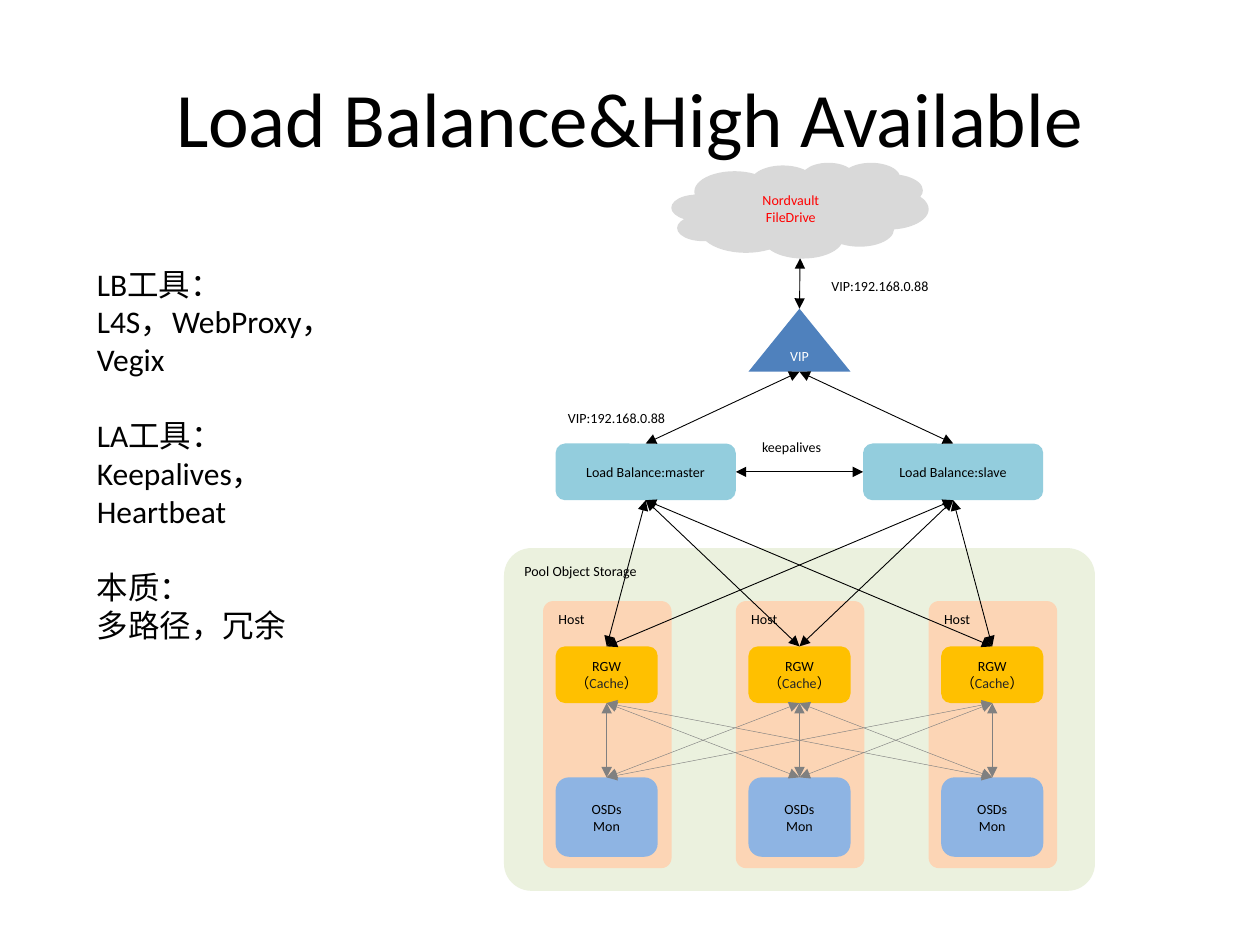
import pptx
import pptx.util
import pptx.dml.color
import pptx.enum.shapes
import pptx.enum.text
import pptx.oxml.ns
from lxml import etree

Inches, Pt = pptx.util.Inches, pptx.util.Pt
SHAPE = pptx.enum.shapes.MSO_SHAPE
ANCHOR = pptx.enum.text.MSO_ANCHOR
ALIGN = pptx.enum.text.PP_ALIGN
qn = pptx.oxml.ns.qn

C = {
    "black": "000000", "white": "FFFFFF", "red": "FF0000",
    "dark": "262626", "gray": "808080", "cloud": "D9D9D9",
    "balancer": "93CDDD", "storage": "EBF1DE", "host": "FCD5B5",
    "gateway": "FFC000", "osd": "8EB4E3", "vip": "4F81BD",
}
TOP, LEFT, BOTTOM, RIGHT = range(4)
HOSTS = 3
HOST_PITCH = 1.53


def rgb(name):
    return pptx.dml.color.RGBColor.from_string(C[name])


def write(tf, lines, size=8, color="black", align=ALIGN.LEFT, anchor=ANCHOR.TOP):
    """Fill a frame; a line is a string or a list of (text, color) runs."""
    tf.vertical_anchor = anchor
    for i, line in enumerate(lines):
        p = tf.paragraphs[0] if i == 0 else tf.add_paragraph()
        p.alignment = align
        for text, run_color in [(line, color)] if isinstance(line, str) else line:
            r = p.add_run()
            r.text = text
            r.font.name = "Calibri"
            r.font.size = Pt(size)
            r.font.color.rgb = rgb(run_color)


def add_text(s, x, y, w, h, lines, wrap=False, **fmt):
    tf = s.shapes.add_textbox(Inches(x), Inches(y), Inches(w), Inches(h)).text_frame
    tf.word_wrap = wrap
    write(tf, lines, **fmt)
    return tf


def add_box(s, x, y, w, h, fill, lines, kind=SHAPE.ROUNDED_RECTANGLE,
            align=ALIGN.CENTER, anchor=ANCHOR.MIDDLE, **fmt):
    sp = s.shapes.add_shape(kind, Inches(x), Inches(y), Inches(w), Inches(h))
    sp.shadow.inherit = False
    sp.fill.solid()
    sp.fill.fore_color.rgb = rgb(fill)
    sp.line.fill.background()
    write(sp.text_frame, lines, align=align, anchor=anchor, **fmt)
    return sp


def add_panel(s, x, y, w, h, fill, label):
    sp = add_box(s, x, y, w, h, fill, [label], align=ALIGN.LEFT, anchor=ANCHOR.TOP)
    sp.adjustments[0] = 0.08


def add_arrow(s, start, end, color="black", width=0.5):
    """Two-headed arrow; an end is (shape, side) or a point in inches."""
    cx = s.shapes.add_connector(pptx.enum.shapes.MSO_CONNECTOR.STRAIGHT, 0, 0, 0, 0)
    if isinstance(start[0], float):
        cx.begin_x, cx.begin_y = Inches(start[0]), Inches(start[1])
    else:
        cx.begin_connect(*start)
    cx.end_connect(*end)
    cx.line.color.rgb = rgb(color)
    cx.line.width = Pt(width)
    ln = cx.line._get_or_add_ln()
    for tag in ("a:headEnd", "a:tailEnd"):
        etree.SubElement(ln, qn(tag)).set("type", "triangle")
    etree.SubElement(cx._element.spPr, qn("a:effectLst"))


def add_tools(s):
    tf = add_text(s, 0.67, 2.05, 2.61, 2.52, [
        "LB工具：", "L4S，WebProxy，Vegix",
        "LA工具：", "Keepalives，Heartbeat",
        "本质：", "多路径，冗余"], wrap=True, size=18)
    tf.margin_right = Inches(0.4)
    for p in tf.paragraphs[2::2]:
        p.space_before = Pt(22)


def add_cluster(s):
    """Storage panel with its hosts; returns the gateways."""
    add_panel(s, 4, 4.35, 4.69, 2.72, "storage", "Pool Object Storage")
    gateways, osds = [], []
    for i in range(HOSTS):
        dx = i * HOST_PITCH
        add_panel(s, 4.31 + dx, 4.77, 1.02, 2.12, "host", "Host")
        gateways.append(add_box(
            s, 4.41 + dx, 5.13, 0.81, 0.45, "gateway",
            ["RGW", [("（", "black"), ("Cache", "dark"), ("）", "black")]]))
        osds.append(add_box(s, 4.41 + dx, 6.17, 0.81, 0.63, "osd", ["OSDs", "Mon"]))
    for gateway in gateways:
        for osd in osds:
            add_arrow(s, (gateway, BOTTOM), (osd, TOP), color="gray", width=0.25)
    return gateways


def add_balancing(s, gateways):
    # Entry point
    add_box(s, 5.33, 1.29, 2.04, 0.76, "cloud", ["Nordvault", "FileDrive"],
            kind=SHAPE.CLOUD, color="red")
    vip = add_box(s, 5.94, 2.45, 0.81, 0.5, "vip", ["VIP"],
                  kind=SHAPE.FLOWCHART_EXTRACT, color="white")
    add_arrow(s, (6.35, 2.05), (vip, TOP))

    # Balancer pair, each linked to the VIP and to every gateway
    master, slave = [
        add_box(s, x, 3.52, 1.43, 0.45, "balancer", [f"Load Balance:{role}"])
        for x, role in ((4.41, "master"), (6.85, "slave"))]
    for balancer in (master, slave):
        add_arrow(s, (balancer, TOP), (vip, BOTTOM))
        for gateway in gateways:
            add_arrow(s, (balancer, BOTTOM), (gateway, TOP))
    add_arrow(s, (master, RIGHT), (slave, LEFT))

    # Link labels
    add_text(s, 5.95, 3.43, 0.7, 0.24, ["keepalives"])
    for x, y in ((6.5, 2.15), (4.41, 3.2)):
        add_text(s, x, y, 0.97, 0.24, ["VIP:192.168.0.88"])


def main():
    prs = pptx.Presentation()
    prs.slide_width, prs.slide_height = Inches(10), Inches(7.5)
    s = prs.slides.add_slide(prs.slide_layouts[6])
    add_text(s, 0.5, 0.3, 9, 1.25, ["Load Balance&High Available"], wrap=True,
             size=44, align=ALIGN.CENTER, anchor=ANCHOR.MIDDLE)
    add_tools(s)
    add_balancing(s, add_cluster(s))
    prs.save("out.pptx")


if __name__ == "__main__":
    main()
